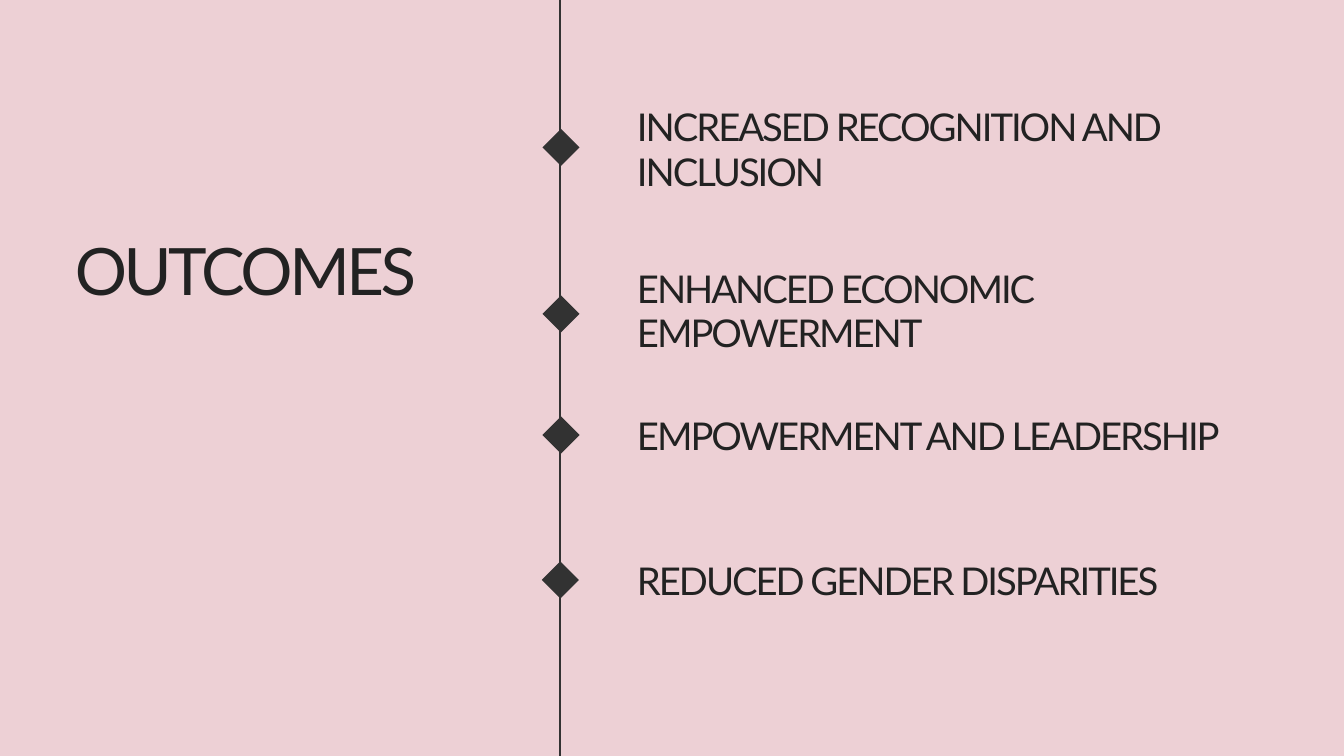
"""Build the Outcomes slide: a title beside a vertical timeline of four results."""
from lxml import etree
from pptx import Presentation
from pptx import util as u
from pptx.dml.color import RGBColor
from pptx.enum import shapes, text
from pptx.oxml.ns import qn

PX = 9525
WIDTH, HEIGHT = 1920, 1080
PINK = RGBColor(0xED, 0xD0, 0xD5)
CHARCOAL = RGBColor(0x32, 0x32, 0x32)
INK = RGBColor(0x22, 0x22, 0x22)
LINE_X = 800
DIAMOND_SIZE = 53
TEXT_X, TEXT_WIDTH = 910, 852
LINE_HEIGHT = 63

OUTCOMES = [
    ("INCREASED RECOGNITION AND INCLUSION", 149, 2, 775, 184),
    ("ENHANCED ECONOMIC EMPOWERMENT", 380, 2, 775, 422),
    ("EMPOWERMENT AND LEADERSHIP", 591, 1, 775, 595),
    ("REDUCED GENDER DISPARITIES", 798, 1, 774, 802),
]


def add_text(slide, words, *, left, top, height, size, leading, tracking):
    box = slide.shapes.add_textbox(left * PX, top * PX, TEXT_WIDTH * PX, height * PX)
    frame = box.text_frame
    frame.word_wrap = True
    frame.vertical_anchor = text.MSO_ANCHOR.TOP
    frame.margin_left = frame.margin_right = frame.margin_top = frame.margin_bottom = 0
    paragraph = frame.paragraphs[0]
    paragraph.line_spacing = u.Pt(leading)
    run = paragraph.add_run()
    run.text = words
    run.font.name = "Lato"
    run.font.size = u.Pt(size)
    run.font.color.rgb = INK
    run.font._element.set("spc", str(tracking))


presentation = Presentation()
presentation.slide_width = WIDTH * PX
presentation.slide_height = HEIGHT * PX
slide = presentation.slides.add_slide(presentation.slide_layouts[6])
slide.background.fill.solid()
slide.background.fill.fore_color.rgb = PINK

timeline = slide.shapes.add_connector(
    shapes.MSO_CONNECTOR.STRAIGHT, LINE_X * PX, 0, LINE_X * PX, HEIGHT * PX
)
timeline.line.color.rgb = CHARCOAL
timeline.line.width = u.Pt(2.25)
etree.SubElement(timeline._element.spPr, qn("a:effectLst"))

add_text(slide, "OUTCOMES", left=107, top=332, height=109, size=70, leading=81.9, tracking=-370)

for words, text_top, line_count, diamond_left, diamond_top in OUTCOMES:
    diamond = slide.shapes.add_shape(
        shapes.MSO_SHAPE.DIAMOND,
        diamond_left * PX, diamond_top * PX, DIAMOND_SIZE * PX, DIAMOND_SIZE * PX,
    )
    diamond.shadow.inherit = False
    diamond.fill.solid()
    diamond.fill.fore_color.rgb = CHARCOAL
    diamond.line.fill.background()
    add_text(slide, words, left=TEXT_X, top=text_top, height=line_count * LINE_HEIGHT,
             size=41, leading=48, tracking=-220)

presentation.save("out.pptx")
